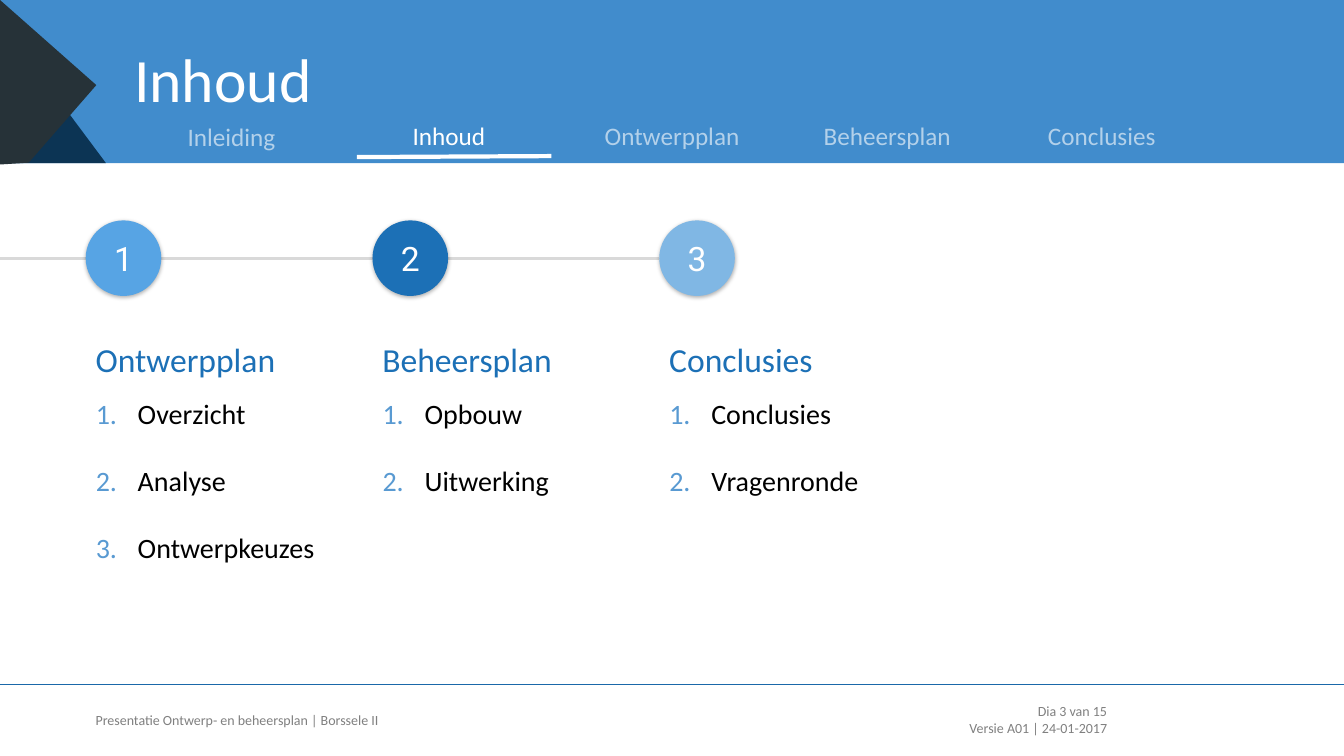
from lxml import etree
from pptx import Presentation
from pptx.dml.color import RGBColor
from pptx.enum import shapes, text
from pptx.oxml import ns
from pptx.util import Pt

COLORS = {
    "white": "FFFFFF", "black": "000000", "header": "418CCC", "navy": "0C3454",
    "charcoal": "263238", "accent": "1C70B6", "number": "599AD2",
    "timeline": "D9D9D9", "rule": "1A68A9", "footer": "808080",
    "step1": "57A4E4", "step2": "1C70B6", "step3": "80B7E4",
}
WIDTH, HEIGHT = 960, 540
HEADER_HEIGHT = 116.6
COLUMN_LEFT, COLUMN_PITCH = 61.2, 204.85
CIRCLE_TOP, CIRCLE_SIZE = 157.4, 54
TIMELINE_Y = 184.8
FOOTER_RULE_Y = 489

COLUMNS = [
    ("Ontwerpplan", ["Overzicht", "Analyse", "Ontwerpkeuzes"]),
    ("Beheersplan", ["Opbouw", "Uitwerking"]),
    ("Conclusies", ["Conclusies", "Vragenronde"]),
]
# Label, centre, top
TABS = [
    ("Inleiding", 165.4, 82.8), ("Inhoud", 320.6, 82.1), ("Ontwerpplan", 480, 82.1),
    ("Beheersplan", 633.8, 82.1), ("Conclusies", 787, 82.1),
]
ACTIVE_TAB = "Inhoud"
LEFT, CENTER, RIGHT = text.PP_ALIGN.LEFT, text.PP_ALIGN.CENTER, text.PP_ALIGN.RIGHT


def color(name):
    return RGBColor.from_string(COLORS[name])


def add_xml(parent, tag, **attributes):
    return etree.SubElement(parent, ns.qn(tag), attributes)


def place(shape, left, top, width, height):
    shape.left, shape.top = Pt(left), Pt(top)
    shape.width, shape.height = Pt(width), Pt(height)


def add_run(paragraph, words, size, color_name, font="Calibri", alpha=None):
    run = paragraph.add_run()
    run.text = words
    run.font.size, run.font.name, run.font.bold = Pt(size), font, False
    run.font.color.rgb = color(color_name)
    if alpha:
        fill = run.font.fill._xPr.find(ns.qn("a:solidFill"))
        add_xml(fill[0], "a:alpha", val=str(alpha * 1000))


def add_label(slide, box, lines, size, color_name, align=LEFT, alpha=None):
    frame = slide.shapes.add_textbox(*map(Pt, box)).text_frame
    frame.word_wrap = True
    for index, line in enumerate(lines):
        paragraph = frame.add_paragraph() if index else frame.paragraphs[0]
        paragraph.alignment = align
        add_run(paragraph, line, size, color_name, alpha=alpha)


def add_line(slide, start, end, color_name, width):
    line = slide.shapes.add_connector(
        shapes.MSO_CONNECTOR.STRAIGHT, *map(Pt, start + end))
    line.line.color.rgb = color(color_name)
    line.line.width = Pt(width)
    add_xml(line.element.spPr, "a:effectLst")


def paint(shape, color_name):
    shape.shadow.inherit = False
    shape.fill.solid()
    shape.fill.fore_color.rgb = color(color_name)
    shape.line.fill.background()


def add_polygon(slide, points, color_name):
    corners = [(Pt(x), Pt(y)) for x, y in points]
    builder = slide.shapes.build_freeform(*corners[0], scale=1.0)
    builder.add_line_segments(corners[1:], close=True)
    paint(builder.convert_to_shape(), color_name)


def add_circle(slide, left, number):
    circle = slide.shapes.add_shape(
        shapes.MSO_SHAPE.OVAL, Pt(left), Pt(CIRCLE_TOP), Pt(CIRCLE_SIZE), Pt(CIRCLE_SIZE))
    paint(circle, f"step{number}")
    effects = circle.element.spPr.find(ns.qn("a:effectLst"))
    shadow = add_xml(effects, "a:outerShdw", blurRad=str(Pt(3)), dist=str(Pt(1)),
                     dir="5400000", algn="t", rotWithShape="0")
    shade = add_xml(shadow, "a:srgbClr", val=COLORS["black"])
    add_xml(shade, "a:alpha", val="30000")
    frame = circle.text_frame
    frame.vertical_anchor = text.MSO_ANCHOR.MIDDLE
    frame.paragraphs[0].alignment = CENTER
    add_run(frame.paragraphs[0], str(number), 24, "white", "Roboto")


def fill_list(placeholder, left, items):
    place(placeholder, left, 279.6, 213.8, 30 + 48.4 * (len(items) - 1))
    frame = placeholder.text_frame
    frame.word_wrap = True
    frame.auto_size = text.MSO_AUTO_SIZE.NONE
    frame.vertical_anchor = text.MSO_ANCHOR.TOP
    for index, item in enumerate(items):
        paragraph = frame.add_paragraph() if index else frame.paragraphs[0]
        properties = paragraph._p.get_or_add_pPr()
        properties.set("marL", str(Pt(30)))
        properties.set("indent", str(Pt(-30)))
        bullet_color = add_xml(properties, "a:buClr")
        add_xml(bullet_color, "a:srgbClr", val=COLORS["number"])
        add_xml(properties, "a:buFont", typeface="Calibri")
        add_xml(properties, "a:buAutoNum", type="arabicPeriod")
        paragraph.alignment = LEFT
        paragraph.space_before = Pt(24 if index else 0)
        add_run(paragraph, item, 20, "black")


def fill_title(slide, words):
    title = slide.shapes.title
    place(title, 88.6, 33.1, 860, 51.1)
    title.element.getparent().append(title.element)  # in front of the header band
    frame = title.text_frame
    frame.auto_size = text.MSO_AUTO_SIZE.NONE
    frame.vertical_anchor = text.MSO_ANCHOR.MIDDLE
    paragraph = frame.paragraphs[0]
    paragraph.alignment = LEFT
    paragraph.line_spacing = 0.9
    add_run(paragraph, words, 44, "white")


def add_header(slide):
    band = slide.shapes.add_shape(
        shapes.MSO_SHAPE.RECTANGLE, 0, 0, Pt(WIDTH), Pt(HEADER_HEIGHT))
    paint(band, "header")
    add_polygon(slide, [(0, 15), (75.7, HEADER_HEIGHT), (0, HEADER_HEIGHT)], "navy")
    add_polygon(slide, [(0, 0), (68.8, 60.8), (20.5, 116.2), (0, 117.5)], "charcoal")
    fill_title(slide, "Inhoud")
    add_line(slide, (254.9, 112.2), (393.8, 111.5), "white", 3)
    for label, center, top in TABS:
        alpha = None if label == ACTIVE_TAB else 60
        add_label(slide, (center - 76.7, top, 153.4, 29), [label], 18, "white", CENTER, alpha)


def add_columns(slide):
    add_line(slide, (0, TIMELINE_Y), (COLUMN_LEFT + 2 * COLUMN_PITCH, TIMELINE_Y),
             "timeline", 2)
    bodies = {item.placeholder_format.idx: item for item in slide.placeholders}
    unused = bodies[3].element
    unused.getparent().remove(unused)
    for index, (heading, items) in enumerate(COLUMNS):
        left = COLUMN_LEFT + index * COLUMN_PITCH
        add_circle(slide, left, index + 1)
        add_label(slide, (left, 238.8, 160, 36), [heading], 24, "accent")
        fill_list(bodies[(1, 2, 4)[index]], left, items)


def add_footer(slide):
    add_line(slide, (WIDTH, FOOTER_RULE_Y), (0, FOOTER_RULE_Y), "rule", 0.5)
    add_label(slide, (COLUMN_LEFT, 504.7, 419, 19.4),
              ["Presentatie Ontwerp- en beheersplan | Borssele II"], 10, "footer")
    add_label(slide, (671, 498.3, 126.8, 31.7),
              ["Dia 3 van 15", "Versie A01 | 24-01-2017"], 10, "footer", RIGHT)


def main():
    presentation = Presentation()
    presentation.slide_width, presentation.slide_height = Pt(WIDTH), Pt(HEIGHT)
    slide = presentation.slides.add_slide(presentation.slide_layouts[4])
    add_columns(slide)
    add_footer(slide)
    add_header(slide)
    presentation.save("out.pptx")


if __name__ == "__main__":
    main()
